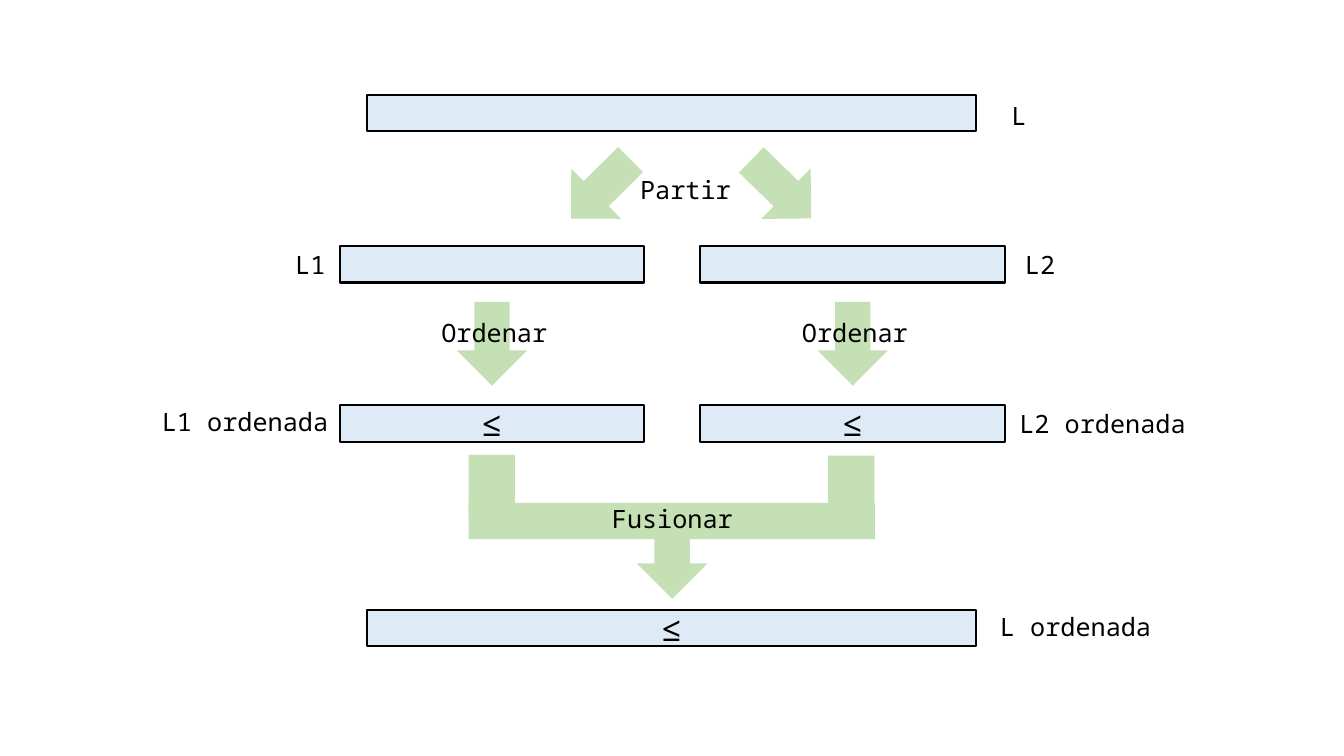
from dataclasses import dataclass

from pptx import Presentation
from pptx.dml.color import RGBColor
from pptx.enum.shapes import MSO_SHAPE
from pptx.enum.text import MSO_ANCHOR, MSO_AUTO_SIZE, PP_ALIGN
from pptx.shapes.autoshape import Shape
from pptx.slide import Slide
from pptx.text.text import TextFrame
from pptx.util import Cm, Pt


@dataclass(frozen=True)
class Theme:
    list_fill: RGBColor = RGBColor(0xDE, 0xEB, 0xF7)
    step_fill: RGBColor = RGBColor(0xC5, 0xE0, 0xB4)
    ink: RGBColor = RGBColor(0, 0, 0)
    font: str = "Noto Sans Mono"
    label_size: Pt = Pt(18)
    symbol_size: Pt = Pt(24)
    outline: Pt = Pt(1.5)


@dataclass(frozen=True)
class ListBar:
    left: float
    top: float
    width: float
    symbol: str = ""


@dataclass(frozen=True)
class Arrow:
    left: float
    top: float
    rotation: float = 0


@dataclass(frozen=True)
class Channel:
    left: float
    top: float
    width: float
    height: float


@dataclass(frozen=True)
class Label:
    wording: str
    left: float
    top: float
    width: float


THEME = Theme()
BAR_HEIGHT = 0.92
ARROW_WIDTH, ARROW_HEIGHT = 1.78, 2.11
LABEL_HEIGHT = 1.02
WHOLE_LEFT, WHOLE_WIDTH = 9.25, 15.34
HALF_LEFT, HALF_WIDTH = 8.56, 7.67
HALF_PITCH = 9.09
HALF_SHIFTS = (0, HALF_PITCH)
STEP_WIDTH, NAME_WIDTH, SORTED_WIDTH = 6.25, 1.78, 4.93

LISTS = [
    ListBar(WHOLE_LEFT, 2.39, WHOLE_WIDTH),
    *(ListBar(HALF_LEFT + shift, 6.2, HALF_WIDTH) for shift in HALF_SHIFTS),
    *(ListBar(HALF_LEFT + shift, 10.21, HALF_WIDTH, "≤") for shift in HALF_SHIFTS),
    ListBar(WHOLE_LEFT, 15.37, WHOLE_WIDTH, "≤"),
]

ARROWS = [
    *(Arrow(11.51 + shift, 7.61) for shift in HALF_SHIFTS),
    Arrow(14.25, 3.71, 45.3),
    Arrow(18.8, 3.71, 314.3),
    Arrow(16.05, 12.98),
]

MERGE_CHANNELS = [
    Channel(11.81, 12.67, 10.24, 0.92),
    Channel(11.81, 11.46, 1.17, 1.52),
    Channel(20.87, 11.48, 1.17, 1.52),
]

LABELS = [
    Label("Partir", 14.15, 4.27, STEP_WIDTH),
    *(Label("Ordenar", 9.33 + shift, 7.86, STEP_WIDTH) for shift in HALF_SHIFTS),
    Label("Fusionar", 13.82, 12.57, STEP_WIDTH),
    Label("L", 24.79, 2.41, NAME_WIDTH),
    Label("L1", 6.93, 6.17, NAME_WIDTH),
    Label("L2", 25.32, 6.17, NAME_WIDTH),
    Label("L1 ordenada", 3.71, 10.11, SORTED_WIDTH),
    Label("L2 ordenada", 25.32, 10.16, SORTED_WIDTH),
    Label("L ordenada", 24.64, 15.29, SORTED_WIDTH),
]


def write(frame: TextFrame, wording: str, size: Pt) -> None:
    frame.text = wording
    paragraph = frame.paragraphs[0]
    paragraph.alignment = PP_ALIGN.CENTER
    font = paragraph.runs[0].font
    font.name = THEME.font
    font.size = size
    font.color.rgb = THEME.ink


def draw_filled(slide: Slide, preset: MSO_SHAPE, area: Channel, fill: RGBColor) -> Shape:
    shape = slide.shapes.add_shape(
        preset, Cm(area.left), Cm(area.top), Cm(area.width), Cm(area.height)
    )
    shape.shadow.inherit = False
    shape.fill.solid()
    shape.fill.fore_color.rgb = fill
    shape.line.fill.background()
    return shape


def draw_list(slide: Slide, bar: ListBar) -> None:
    area = Channel(bar.left, bar.top, bar.width, BAR_HEIGHT)
    shape = draw_filled(slide, MSO_SHAPE.RECTANGLE, area, THEME.list_fill)
    shape.line.color.rgb = THEME.ink
    shape.line.width = THEME.outline
    if bar.symbol:
        shape.text_frame.vertical_anchor = MSO_ANCHOR.MIDDLE
        write(shape.text_frame, bar.symbol, THEME.symbol_size)


def draw_arrow(slide: Slide, arrow: Arrow) -> None:
    area = Channel(arrow.left, arrow.top, ARROW_WIDTH, ARROW_HEIGHT)
    shape = draw_filled(slide, MSO_SHAPE.DOWN_ARROW, area, THEME.step_fill)
    shape.rotation = arrow.rotation


def draw_label(slide: Slide, label: Label) -> None:
    box = slide.shapes.add_textbox(
        Cm(label.left), Cm(label.top), Cm(label.width), Cm(LABEL_HEIGHT)
    )
    box.text_frame.word_wrap = True
    box.text_frame.auto_size = MSO_AUTO_SIZE.SHAPE_TO_FIT_TEXT
    write(box.text_frame, label.wording, THEME.label_size)


def main() -> None:
    presentation = Presentation()
    presentation.slide_width = Cm(33.87)
    presentation.slide_height = Cm(19.05)
    slide = presentation.slides.add_slide(presentation.slide_layouts[6])
    for bar in LISTS:
        draw_list(slide, bar)
    for arrow in ARROWS:
        draw_arrow(slide, arrow)
    for channel in MERGE_CHANNELS:
        draw_filled(slide, MSO_SHAPE.RECTANGLE, channel, THEME.step_fill)
    for label in LABELS:
        draw_label(slide, label)
    presentation.save("out.pptx")


if __name__ == "__main__":
    main()
